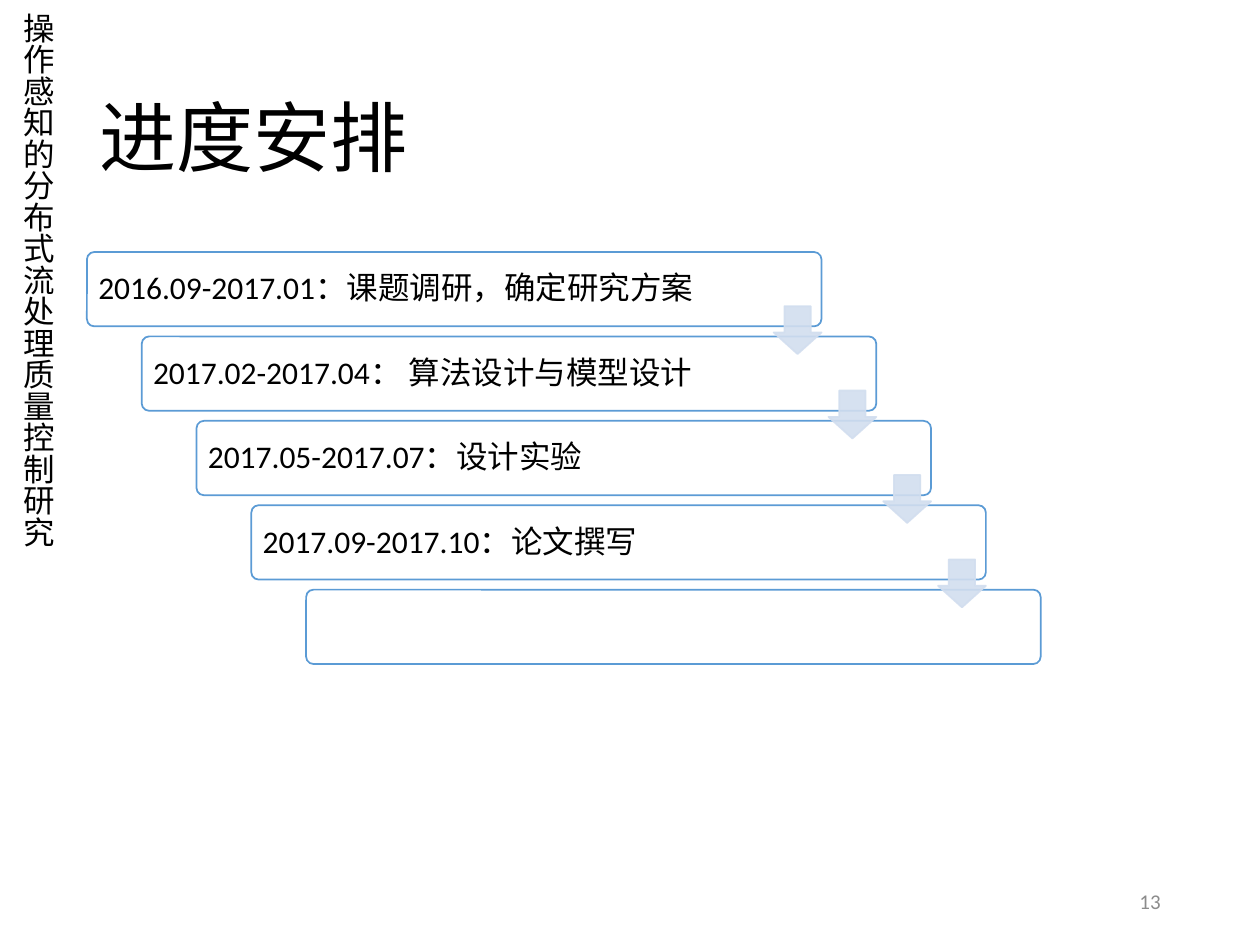
from dataclasses import dataclass

from lxml.etree import SubElement
from pptx import Presentation
from pptx.dml.color import RGBColor
from pptx.enum.shapes import MSO_SHAPE
from pptx.enum.text import MSO_ANCHOR, PP_ALIGN
from pptx.oxml.ns import qn
from pptx.util import Inches, Pt

BLACK = RGBColor(0x00, 0x00, 0x00)
WHITE = RGBColor(0xFF, 0xFF, 0xFF)
BLUE = RGBColor(0x5B, 0x9B, 0xD5)
PALE = RGBColor(0xD2, 0xDE, 0xEF)
GREY = RGBColor(0x8C, 0x8C, 0x8C)
FONT = "Calibri"

# Staircase grid, in inches
LEFT, TOP = 0.69, 2.0
STEP_X, STEP_Y = 0.435, 0.67
BOX_W, BOX_H = 5.83, 0.59
ARROW = 0.38


@dataclass
class Stage:
    text: str
    width: float = 4.97
    alpha: int = 39


STAGES = [
    Stage("2016.09-2017.01：课题调研，确定研究方案", width=5.12),
    Stage("2017.02-2017.04： 算法设计与模型设计"),
    Stage("2017.05-2017.07：设计实验"),
    Stage("2017.09-2017.10：论文撰写"),
    Stage("", alpha=100),
]


def place(shape, x: float, y: float, w: float, h: float) -> None:
    shape.left, shape.top = Inches(x), Inches(y)
    shape.width, shape.height = Inches(w), Inches(h)


def write(shape, text: str, size: int, color: RGBColor = BLACK,
          align=PP_ALIGN.LEFT, space: float = 1.0) -> None:
    frame = shape.text_frame
    frame.text = text
    frame.word_wrap = True
    frame.vertical_anchor = MSO_ANCHOR.MIDDLE
    para = frame.paragraphs[0]
    para.alignment, para.line_spacing = align, space
    font = para.runs[0].font
    font.name, font.size = FONT, Pt(size)
    font.color.rgb = color


def add_text(slide, x: float, y: float, w: float, h: float):
    return slide.shapes.add_textbox(Inches(x), Inches(y), Inches(w), Inches(h))


def fade(part, alpha: int) -> None:
    """Set the opacity, in percent, of a solid fill or line."""
    for tone in part.iter(qn("a:srgbClr")):
        SubElement(tone, qn("a:alpha")).set("val", str(alpha * 1000))


def add_block(slide, kind, x: float, y: float, w: float, h: float,
              fill: RGBColor, line: RGBColor, ratios: list[float]):
    shape = slide.shapes.add_shape(kind, Inches(x), Inches(y), Inches(w), Inches(h))
    shape.shadow.inherit = False
    for i, ratio in enumerate(ratios):
        shape.adjustments[i] = ratio
    shape.fill.solid()
    shape.fill.fore_color.rgb = fill
    shape.line.color.rgb = line
    shape.line.width = Pt(1)
    return shape


def add_stage(slide, row: int, stage: Stage) -> None:
    x, y = LEFT + row * STEP_X, TOP + row * STEP_Y
    box = add_block(slide, MSO_SHAPE.ROUNDED_RECTANGLE, x, y, BOX_W, BOX_H,
                    WHITE, BLUE, [0.1])
    if stage.alpha < 100:
        fade(box._element.spPr.find(qn("a:solidFill")), stage.alpha)
    if stage.text:
        label = add_text(slide, x + 0.02, y + 0.02, stage.width, 0.56)
        write(label, stage.text, 18, space=0.9)
        frame = label.text_frame
        frame.margin_left = frame.margin_right = Inches(0.07)
        frame.margin_top = frame.margin_bottom = Inches(0.07)


def add_arrow(slide, row: int) -> None:
    x = LEFT + row * STEP_X + BOX_W - ARROW
    y = TOP + row * STEP_Y + 0.43
    arrow = add_block(slide, MSO_SHAPE.DOWN_ARROW, x, y, ARROW, ARROW,
                      PALE, PALE, [0.55, 0.45])
    fade(arrow._element.spPr, 90)


def main() -> None:
    deck = Presentation()
    deck.slide_width, deck.slide_height = Inches(10), Inches(7.5)
    slide = deck.slides.add_slide(deck.slide_layouts[5])

    # Title
    title = slide.shapes.title
    place(title, 0.69, 0.4, 8.62, 1.45)
    write(title, "进度安排", 44, space=0.9)

    # Schedule, with the arrows in front of the boxes
    for row, stage in enumerate(STAGES):
        add_stage(slide, row, stage)
    for row in range(len(STAGES) - 1):
        add_arrow(slide, row)

    # Vertical topic line
    side = add_text(slide, 0, 0, 0.5, 7.5)
    write(side, "操作感知的分布式流处理质量控制研究", 18)
    side.text_frame.vertical_anchor = MSO_ANCHOR.TOP
    side.text_frame._txBody.bodyPr.set("vert", "eaVert")

    # Page number
    page = add_text(slide, 7.06, 6.95, 2.25, 0.4)
    write(page, "13", 12, GREY, PP_ALIGN.RIGHT)

    deck.save("out.pptx")


if __name__ == "__main__":
    main()
